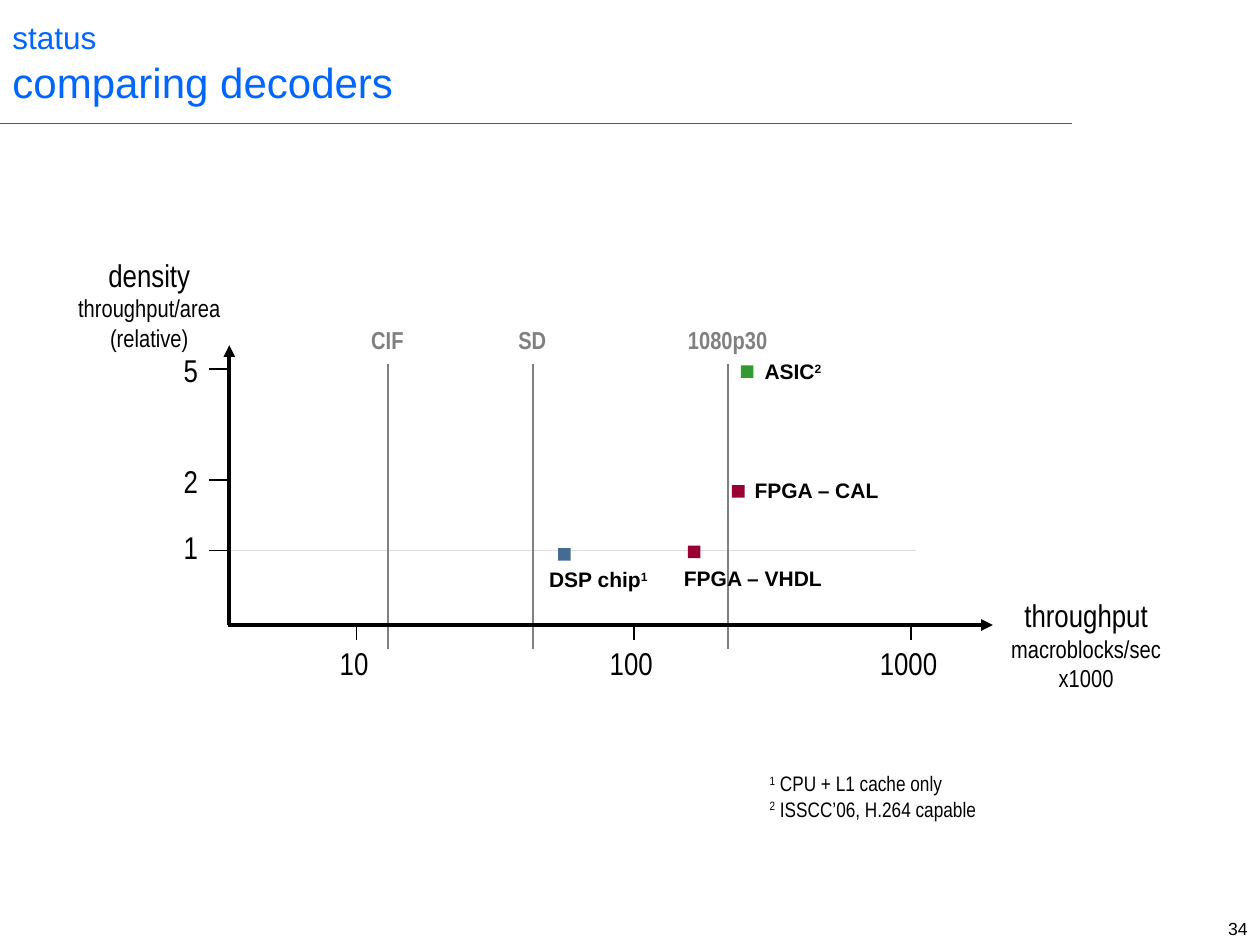
from dataclasses import dataclass

from lxml.etree import SubElement
from pptx import Presentation
from pptx.dml.color import RGBColor
from pptx.enum.shapes import MSO_CONNECTOR, MSO_SHAPE
from pptx.enum.text import MSO_ANCHOR, PP_ALIGN
from pptx.oxml.ns import qn
from pptx.util import Inches, Pt


@dataclass(frozen=True)
class Theme:
    accent: str = "0066FF"
    ink: str = "000000"
    guide: str = "808080"
    grid: str = "DDDDDD"
    processor: str = "446B94"
    fpga: str = "990033"
    asic: str = "339933"
    sans: str = "Arial"
    narrow: str = "Arial Narrow"
    title: int = 24
    large: int = 18
    medium: int = 14
    small: int = 12
    tiny: int = 10


@dataclass(frozen=True)
class Box:
    """A region of the slide, in inches."""
    left: float
    top: float
    width: float
    height: float

    @property
    def bottom(self):
        return self.top + self.height

    @property
    def right(self):
        return self.left + self.width

    def lengths(self):
        return [Inches(n) for n in (self.left, self.top, self.width, self.height)]


THEME = Theme()

# Offsets in inches from the plot's left edge (x) or bottom edge (y)
FIRST_DECADE, DECADE = 1.01, 2.2
X_TICKS = ["10", "100", "1000"]
Y_TICKS = [("1", 0.59, 0.23), ("2", 1.15, 0.19), ("5", 2.03, 0.19)]  # label, y, label rise
GUIDES = [("CIF", 1.26), ("SD", 2.41), ("1080p30", 3.96)]
# name, footnote mark, colour, marker centre (x, y), label corner relative to it
DECODERS = [
    ("DSP chip", "1", THEME.processor, (2.66, 0.56), (-0.22, 0.05)),
    ("FPGA – VHDL", "", THEME.fpga, (3.69, 0.58), (-0.18, 0.06)),
    ("FPGA – CAL", "", THEME.fpga, (4.04, 1.06), (0.03, -0.16)),
    ("ASIC", "2", THEME.asic, (4.11, 2.01), (0.04, -0.15)),
]


def add_text(page, box, lines, font=THEME.narrow, color=THEME.ink, bold=False,
             align=PP_ALIGN.LEFT, anchor=MSO_ANCHOR.TOP, wrap=True):
    """Each line is (size, text, ...); a text starting with ^ is superscript."""
    frame = page.shapes.add_textbox(*box.lengths()).text_frame
    frame.word_wrap = wrap
    frame.vertical_anchor = anchor
    for index, (size, *parts) in enumerate(lines):
        para = frame.add_paragraph() if index else frame.paragraphs[0]
        para.alignment = align
        for part in parts:
            span = para.add_run()
            span.text = part.removeprefix("^")
            span.font.name = font
            span.font.size = Pt(size)
            span.font.bold = bold
            span.font.color.rgb = RGBColor.from_string(color)
            if part.startswith("^"):
                span.font._element.set("baseline", "30000")


def add_line(page, start, end, color=THEME.ink, weight=1, arrow=False):
    points = [Inches(n) for n in (*start, *end)]
    line = page.shapes.add_connector(MSO_CONNECTOR.STRAIGHT, *points)
    line.line.color.rgb = RGBColor.from_string(color)
    line.line.width = Pt(weight)
    if arrow:
        SubElement(line.line._get_or_add_ln(), qn("a:tailEnd"), type="triangle")
    SubElement(line._element.spPr, qn("a:effectLst"))


def add_marker(page, x, y, color, size=0.1):
    box = Box(x - size / 2, y - size / 2, size, size)
    marker = page.shapes.add_shape(MSO_SHAPE.RECTANGLE, *box.lengths())
    marker.shadow.inherit = False
    marker.fill.solid()
    marker.fill.fore_color.rgb = RGBColor.from_string(color)
    marker.line.fill.background()


def draw_header(page, box):
    add_text(page, box, [(THEME.large, "status"), (THEME.title, "comparing decoders")],
             font=THEME.sans, color=THEME.accent, anchor=MSO_ANCHOR.MIDDLE)
    rule = box.bottom - 0.01
    add_line(page, (box.left, rule), (box.right - 0.14, rule), THEME.accent)


def draw_axes(page, box):
    left, bottom = box.left, box.bottom
    add_line(page, (left, bottom), (left, box.top), weight=2.25, arrow=True)
    add_line(page, (left - 0.01, bottom), (box.right, bottom), weight=2.25, arrow=True)

    # Vertical axis ticks
    for label, offset, rise in Y_TICKS:
        y = bottom - offset
        add_line(page, (left - 0.16, y), (left, y))
        add_text(page, Box(left - 0.65, y - rise, 0.5, 0.4),
                 [(THEME.large, label)], align=PP_ALIGN.RIGHT)

    # Horizontal axis ticks, one per decade
    for index, label in enumerate(X_TICKS):
        x = left + FIRST_DECADE + index * DECADE
        add_line(page, (x, bottom + 0.02), (x, bottom + 0.12))
        add_text(page, Box(x - 0.81, bottom + 0.1, 1.58, 0.4),
                 [(THEME.large, label)], align=PP_ALIGN.CENTER)

    # Axis titles
    for title_box, title, *details in [
        (Box(left - 1.55, box.top - 0.76, 1.83, 0.87),
         "density", "throughput/area", "(relative)"),
        (Box(box.right - 0.17, bottom - 0.28, 1.82, 0.87),
         "throughput", "macroblocks/sec", "x1000"),
    ]:
        lines = [(THEME.large, title)] + [(THEME.medium, text) for text in details]
        add_text(page, title_box, lines, align=PP_ALIGN.CENTER)


def draw_plot(page, box):
    # Baseline grid and video format guides
    unit = box.bottom - Y_TICKS[0][1]
    add_line(page, (box.left, unit), (box.left + 5.45, unit), THEME.grid)
    for label, offset in GUIDES:
        x = box.left + offset
        add_line(page, (x, box.top + 0.15), (x, box.bottom + 0.19), THEME.guide)
        add_text(page, Box(x - 0.54, box.top - 0.21, 1.07, 0.34), [(THEME.medium, label)],
                 color=THEME.guide, bold=True, align=PP_ALIGN.CENTER)

    draw_axes(page, box)

    # Decoders
    for name, note, color, (dx, dy), (label_dx, label_dy) in DECODERS:
        x, y = box.left + dx, box.bottom - dy
        add_marker(page, x, y, color)
        parts = [name, "^" + note] if note else [name]
        add_text(page, Box(x + label_dx, y + label_dy, 1.3, 0.3),
                 [(THEME.small, *parts)], font=THEME.sans, bold=True, wrap=False)


def draw_footer(page, notes_box, number_box):
    add_text(page, notes_box, [
        (THEME.small, "^1", " CPU + L1 cache only"),
        (THEME.small, "^2", " ISSCC’06, H.264 capable"),
    ])
    add_text(page, number_box, [(THEME.tiny, "34")],
             font=THEME.sans, align=PP_ALIGN.RIGHT)


def main():
    deck = Presentation()
    deck.slide_width, deck.slide_height = Inches(10), Inches(7.5)
    page = deck.slides.add_slide(deck.slide_layouts[6])
    draw_header(page, Box(0, 0, 8.65, 0.99))
    draw_plot(page, Box(1.82, 2.74, 6.06, 2.22))
    draw_footer(page, Box(6.01, 6.07, 3.23, 0.5), Box(9.07, 7.24, 0.93, 0.23))
    deck.save("out.pptx")


if __name__ == "__main__":
    main()
